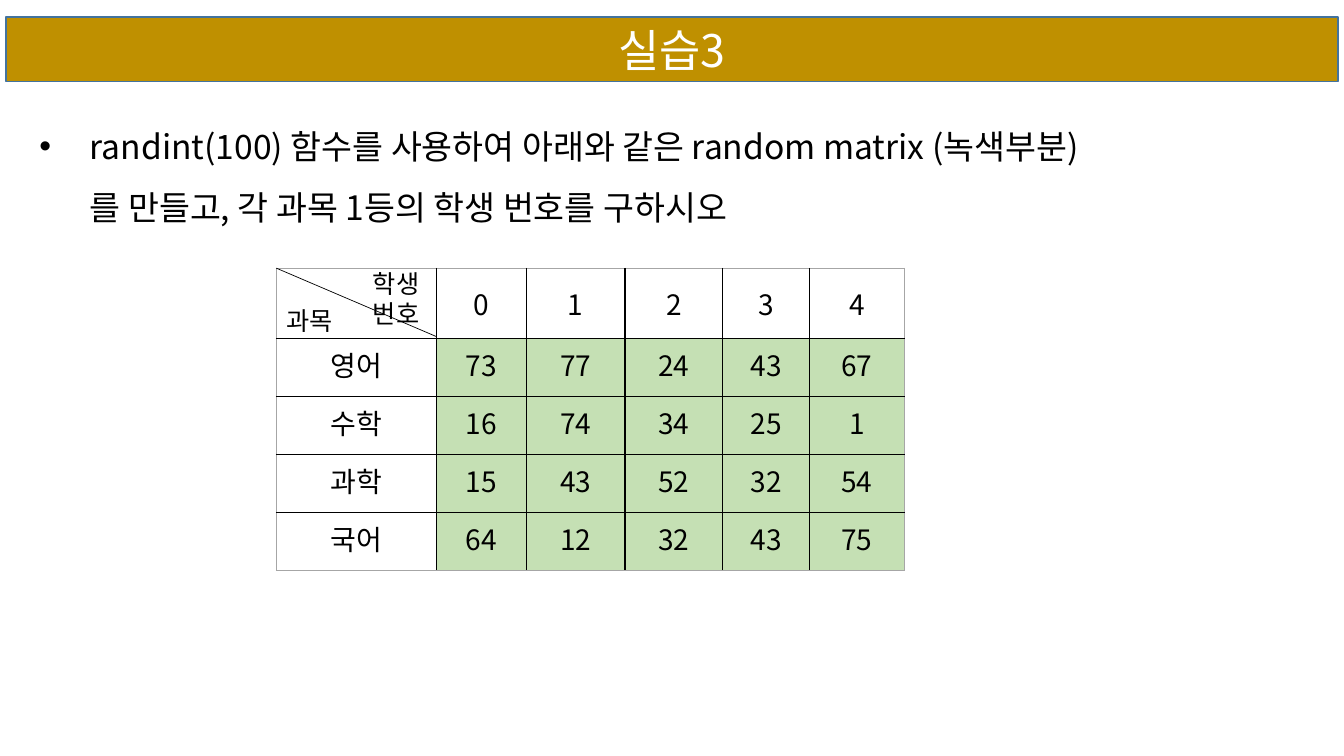
from lxml.etree import SubElement
from pptx import Presentation
from pptx.dml.color import RGBColor
from pptx.enum.text import MSO_ANCHOR as Anchor, MSO_AUTO_SIZE as AutoSize, PP_ALIGN as Align
from pptx.oxml.ns import qn
from pptx.util import Inches, Pt

FONT = "Noto Sans CJK KR"
SCORES = {
    "영어": [73, 77, 24, 43, 67],
    "수학": [16, 74, 34, 25, 1],
    "과학": [15, 43, 52, 32, 54],
    "국어": [64, 12, 32, 43, 75],
}
COLUMNS = [1.59, 0.89, 0.98, 0.97, 0.86, 0.94]
HEADER_HEIGHT, ROW_HEIGHT = 0.7, 0.575


def color(hex_code):
    return RGBColor.from_string(hex_code)


def style(p, size, hex_code="000000", align=Align.LEFT):
    p.alignment = align
    p.font.size = Pt(size)
    p.font.name = FONT
    p.font.color.rgb = color(hex_code)
    # East Asian typeface for the Hangul
    SubElement(p.font._element, qn("a:ea"), typeface=FONT)


def place(sp, box):
    sp.left, sp.top, sp.width, sp.height = map(Inches, box)


def add_title(sp, box, text):
    place(sp, box)
    # Rounded outline for the title bar
    geometry = SubElement(sp._element.spPr, qn("a:prstGeom"), prst="roundRect")
    SubElement(geometry, qn("a:avLst"))
    sp.fill.solid()
    sp.fill.fore_color.rgb = color("BF9000")
    sp.line.color.rgb = color("43739E")
    sp.line.width = Pt(1)
    tf = sp.text_frame
    tf.text = text
    tf.auto_size = AutoSize.NONE
    tf.vertical_anchor = Anchor.MIDDLE
    style(tf.paragraphs[0], 32, "FFFFFF", Align.CENTER)


def add_task(sp, box, text):
    place(sp, box)
    tf = sp.text_frame
    tf.text = text
    tf.word_wrap = True
    tf.auto_size = AutoSize.NONE
    p = tf.paragraphs[0]
    p.line_spacing = 1.5
    p.space_before = Pt(0)
    style(p, 24)
    # Hanging bullet
    pPr = p._p.get_or_add_pPr()
    pPr.set("marL", str(Inches(0.5)))
    pPr.set("indent", str(-Inches(0.5)))


def set_borders(cell, outer_sides):
    tcPr = cell._tc.get_or_add_tcPr()
    for i, side in enumerate(("lnL", "lnR", "lnT", "lnB")):
        outer = side in outer_sides
        ln = SubElement(tcPr, qn(f"a:{side}"), w=str(Pt(0.5 if outer else 1)))
        fill = SubElement(ln, qn("a:solidFill"))
        SubElement(fill, qn("a:srgbClr"), val="A6A6A6" if outer else "000000")
        tcPr.insert(i, ln)


def add_label(slide, box, lines):
    sp = slide.shapes.add_textbox(*map(Inches, box))
    tf = sp.text_frame
    tf.text = "\n".join(lines)
    tf.word_wrap = True
    for p in tf.paragraphs:
        style(p, 18)


def add_corner(slide, left, top, width, height):
    # Diagonal between the two headings of the first cell
    line = slide.shapes.add_connector(
        1, *map(Inches, (left, top, left + width, top + height)))
    line.line.color.rgb = color("000000")
    line.line.width = Pt(0.5)
    SubElement(line._element.spPr, qn("a:effectLst"))
    add_label(slide, (left + 0.86, top - 0.05, 0.71, 0.71), ["학생", "번호"])
    add_label(slide, (left, top + 0.32, 0.71, 0.4), ["과목"])


def add_scores(slide, left, top):
    rows = [["", *range(len(COLUMNS) - 1)]]
    rows += [[subject, *values] for subject, values in SCORES.items()]
    height = HEADER_HEIGHT + ROW_HEIGHT * len(SCORES)
    box = map(Inches, (left, top, sum(COLUMNS), height))
    table = slide.shapes.add_table(len(rows), len(COLUMNS), *box).table
    for column, width in zip(table.columns, COLUMNS):
        column.width = Inches(width)
    for r, values in enumerate(rows):
        table.rows[r].height = Inches(ROW_HEIGHT if r else HEADER_HEIGHT)
        for c, value in enumerate(values):
            cell = table.cell(r, c)
            cell.text = str(value)
            cell.vertical_anchor = Anchor.TOP if r else Anchor.MIDDLE
            cell.fill.solid()
            cell.fill.fore_color.rgb = color("C5E0B4" if r and c else "FFFFFF")
            style(cell.text_frame.paragraphs[0], 20, align=Align.CENTER)
            edges = {"lnL": c == 0, "lnR": c == len(COLUMNS) - 1,
                     "lnT": r == 0, "lnB": r == len(rows) - 1}
            set_borders(cell, [side for side, outer in edges.items() if outer])
    add_corner(slide, left, top, COLUMNS[0], HEADER_HEIGHT - 0.02)


def main():
    prs = Presentation()
    prs.slide_width, prs.slide_height = Inches(13.33), Inches(7.5)
    slide = prs.slides.add_slide(prs.slide_layouts[1])
    title, body = slide.placeholders
    add_title(title, (0.06, 0.17, 13.21, 0.64), "실습3")
    add_task(body, (0.29, 1, 11.12, 1.23),
             "randint(100) 함수를 사용하여 아래와 같은 random matrix (녹색부분)\v"
             "를 만들고, 각 과목 1등의 학생 번호를 구하시오")
    add_scores(slide, 2.74, 2.66)
    prs.save("out.pptx")


if __name__ == "__main__":
    main()
